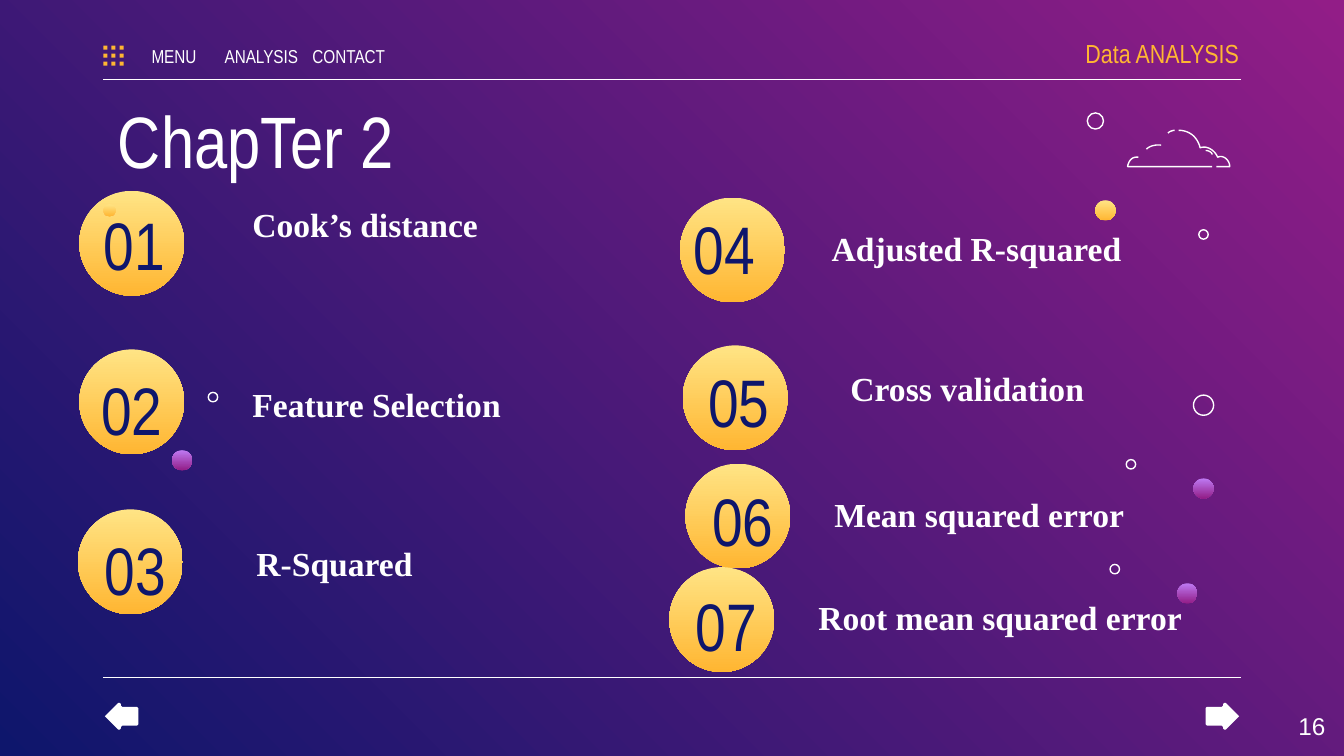
import pptx
import pptx.dml.color
import pptx.enum.shapes
import pptx.enum.text
import pptx.util
from lxml import etree

PX = 9144  # EMU per px, 100 px to the inch
SLIDE_WIDTH = 1000
RGB = pptx.dml.color.RGBColor
WHITE = RGB(0xFF, 0xFF, 0xFF)
NAVY = RGB(0x0E, 0x16, 0x6C)
ORANGE = RGB(0xFF, 0xB6, 0x32)
YELLOW = RGB(0xFF, 0xE4, 0x85)
LILAC = RGB(0xBE, 0x7A, 0xF3)
PURPLE = RGB(0x92, 0x1D, 0x87)

ALIGN = pptx.enum.text.PP_ALIGN
MIDDLE = pptx.enum.text.MSO_ANCHOR.MIDDLE
TOP = pptx.enum.text.MSO_ANCHOR.TOP
SHAPE = pptx.enum.shapes.MSO_SHAPE
NARROW = "Arial Narrow"
SERIF = "Times New Roman"
CIRCLE = 78

# number, circle corner, number box, number anchor and vertical inset
CHAPTERS = [
    ("04", (506, 147), (500, 165, 78, 38), MIDDLE, 10),
    ("02", (59, 260), (59, 285, 78, 38), MIDDLE, 10),
    ("06", (510, 345), (520, 352, 68, 71), TOP, 5),
    ("01", (59, 142), (61, 162, 78, 38), MIDDLE, 10),
    ("05", (508, 257), (517, 263, 84, 71), TOP, 5),
    ("03", (58, 379), (68, 388, 71, 71), TOP, 5),
    ("07", (498, 422), (508, 430, 68, 71), TOP, 5),
]
# label, box, left indent, space before in points, vertical inset
LABELS = [
    ("Cook’s distance", (128, 137, 303, 48), 50, 8.2, 10),
    ("Feature Selection", (128, 271, 371, 48), 50, 2, 10),
    ("R-Squared", (181, 394, 303, 48), 0, 0, 10),
    ("Adjusted R-squared", (559, 160, 500, 40), 50, 0, 5),
    ("Cross validation", (623, 269, 530, 40), 0, 0, 5),
    ("Mean squared error", (561, 353, 310, 48), 50, 7.5, 10),
    ("Root mean squared error", (549, 430, 371, 48), 50, 7.5, 10),
]
# left, top, diameter
RINGS = [(892, 171, 7), (809, 84, 12), (888, 294, 15), (838, 342, 7),
         (155, 292, 7), (826, 420, 7)]
YELLOW_DOTS = [(815, 149, 15), (77, 152, 9)]
PURPLE_DOTS = [(888, 356, 15), (128, 335, 15), (876, 434, 15)]
# Each stroke: start, then line ends (1 point) or Bézier curves (3 points)
CLOUD = [
    ((877, 97), [[(885, 97), (891, 102), (893, 110)],
                 [(898, 108), (904, 112), (906, 117)],
                 [(910, 115), (915, 119), (915, 124)], [(905, 124)]]),
    ((874, 97), [[(874, 97), (871, 97), (869, 99)]]),
    ((902, 124), [[(839, 124)], [(839, 124), (840, 116), (847, 117)]]),
    ((897, 112), [[(897, 112), (901, 112), (902, 115)]]),
    ((864, 108), [[(864, 108), (857, 107), (853, 111)]]),
]
LEFT_ARROW = [(78, 533), (88, 543), (89, 543), (90, 542), (90, 541),
              (91, 540), (102, 540), (103, 539), (103, 527), (102, 526),
              (91, 526), (90, 525), (90, 524), (89, 523), (88, 523)]


def set_gradient(fill, first, last, angle):
    fill.gradient()
    fill.gradient_angle = angle
    for stop, color, position in zip(fill.gradient_stops, (first, last), (0, 1)):
        stop.color.rgb = color
        stop.position = position


def set_outline(shape):
    shape.fill.background()
    shape.line.color.rgb = WHITE
    shape.line.width = pptx.util.Pt(0.75)


def add_preset(shapes, kind, left, top, width, height):
    shape = shapes.add_shape(kind, left * PX, top * PX, width * PX, height * PX)
    shape.shadow.inherit = False
    return shape


def add_ball(slide, left, top, size, colors):
    shape = add_preset(slide.shapes, SHAPE.OVAL, left, top, size, size)
    set_gradient(shape.fill, *colors, 270)
    shape.line.fill.background()


def add_outline(shapes, points, close=False):
    corners = [(round(x * PX), round(y * PX)) for x, y in points]
    builder = shapes.build_freeform(*corners[0], scale=1.0)
    builder.add_line_segments(corners[1:], close=close)
    shape = builder.convert_to_shape()
    shape.shadow.inherit = False
    return shape


def flatten(start, segments, steps=12):
    points = [start]
    for segment in segments:
        if len(segment) == 1:
            points += segment
            continue
        curve = [points[-1], *segment]
        for step in range(1, steps + 1):
            t = step / steps
            weights = ((1 - t) ** 3, 3 * t * (1 - t) ** 2, 3 * t * t * (1 - t), t ** 3)
            points.append(tuple(sum(w * p[axis] for w, p in zip(weights, curve))
                                for axis in (0, 1)))
    return points


def add_text(slide, text, box, size, color=WHITE, font=NARROW, align=ALIGN.LEFT,
             anchor=TOP, insets=(10, 10, 10, 10)):
    frame = slide.shapes.add_textbox(*(length * PX for length in box)).text_frame
    frame.word_wrap = True
    frame.vertical_anchor = anchor
    (frame.margin_left, frame.margin_top,
     frame.margin_right, frame.margin_bottom) = (inset * PX for inset in insets)
    paragraph = frame.paragraphs[0]
    paragraph.text = text
    paragraph.alignment = align
    paragraph.font.size = pptx.util.Pt(size)
    paragraph.font.name = font
    paragraph.font.color.rgb = color
    return paragraph


def add_rule(slide, top):
    connector = slide.shapes.add_connector(
        pptx.enum.shapes.MSO_CONNECTOR.STRAIGHT, 77 * PX, top * PX, 923 * PX, top * PX)
    connector.line.color.rgb = WHITE
    connector.line.width = pptx.util.Pt(0.75)
    etree.SubElement(connector.element.spPr, pptx.oxml.ns.qn("a:effectLst"))


def add_label(slide, text, box, indent, space_before, inset):
    paragraph = add_text(slide, text, box, 18, font=SERIF,
                         insets=(10, inset, 10, inset))
    paragraph.font.bold = True
    if indent:
        paragraph.line_spacing = 1.15
        paragraph.space_before = pptx.util.Pt(space_before)
        paragraph._p.get_or_add_pPr().set("marL", str(indent * PX))


def add_header(slide):
    add_text(slide, "Data ANALYSIS", (772, 23, 150, 33), 14, ORANGE,
             align=ALIGN.RIGHT, anchor=MIDDLE, insets=(10, 10, 0, 10))
    for index, text in enumerate(("MENU", "ANALYSIS", "CONTACT")):
        add_text(slide, text, (101 + 65 * index, 30, 57, 23), 10,
                 align=ALIGN.CENTER, anchor=MIDDLE, insets=(0, 10, 0, 10))
    menu_icon = slide.shapes.add_group_shape()
    for column in range(3):
        for row in range(3):
            square = add_preset(menu_icon.shapes, SHAPE.RECTANGLE,
                                77 + 6 * column, 34 + 6 * row, 3, 3)
            square.fill.solid()
            square.fill.fore_color.rgb = ORANGE
            square.line.fill.background()


def add_arrows(slide):
    right_arrow = [(SLIDE_WIDTH - x, y) for x, y in LEFT_ARROW]
    for points in (LEFT_ARROW, right_arrow):
        arrow = add_outline(slide.shapes, points, close=True)
        arrow.fill.solid()
        arrow.fill.fore_color.rgb = WHITE
        arrow.line.fill.background()


def add_decoration(slide):
    cloud = slide.shapes.add_group_shape()
    for start, segments in CLOUD:
        set_outline(add_outline(cloud.shapes, flatten(start, segments)))
    for left, top, size in RINGS:
        set_outline(add_preset(slide.shapes, SHAPE.OVAL, left, top, size, size))
    for dots, colors in ((YELLOW_DOTS, (YELLOW, ORANGE)), (PURPLE_DOTS, (LILAC, PURPLE))):
        for dot in dots:
            add_ball(slide, *dot, colors)


def main():
    # Widescreen slide, 16:9
    presentation = pptx.Presentation()
    presentation.slide_width = SLIDE_WIDTH * PX
    presentation.slide_height = SLIDE_WIDTH * PX * 9 // 16
    slide = presentation.slides.add_slide(presentation.slide_layouts[6])
    set_gradient(slide.background.fill, PURPLE, NAVY, 225)

    # Frame
    for top in (59, 504):
        add_rule(slide, top)
    add_header(slide)
    add_arrows(slide)

    # Chapter contents
    add_text(slide, "ChapTer 2", (78, 61, 844, 66), 39)
    for number, corner, box, anchor, inset in CHAPTERS:
        add_ball(slide, *corner, CIRCLE, (YELLOW, ORANGE))
        add_text(slide, number, box, 36, NAVY, anchor=anchor,
                 align=ALIGN.CENTER if anchor == MIDDLE else ALIGN.LEFT,
                 insets=(10, inset, 10, inset))
    for label in LABELS:
        add_label(slide, *label)

    add_decoration(slide)
    add_text(slide, "16", (936, 519, 60, 43), 13, font="Arial", align=ALIGN.RIGHT)
    presentation.save("out.pptx")


if __name__ == "__main__":
    main()
